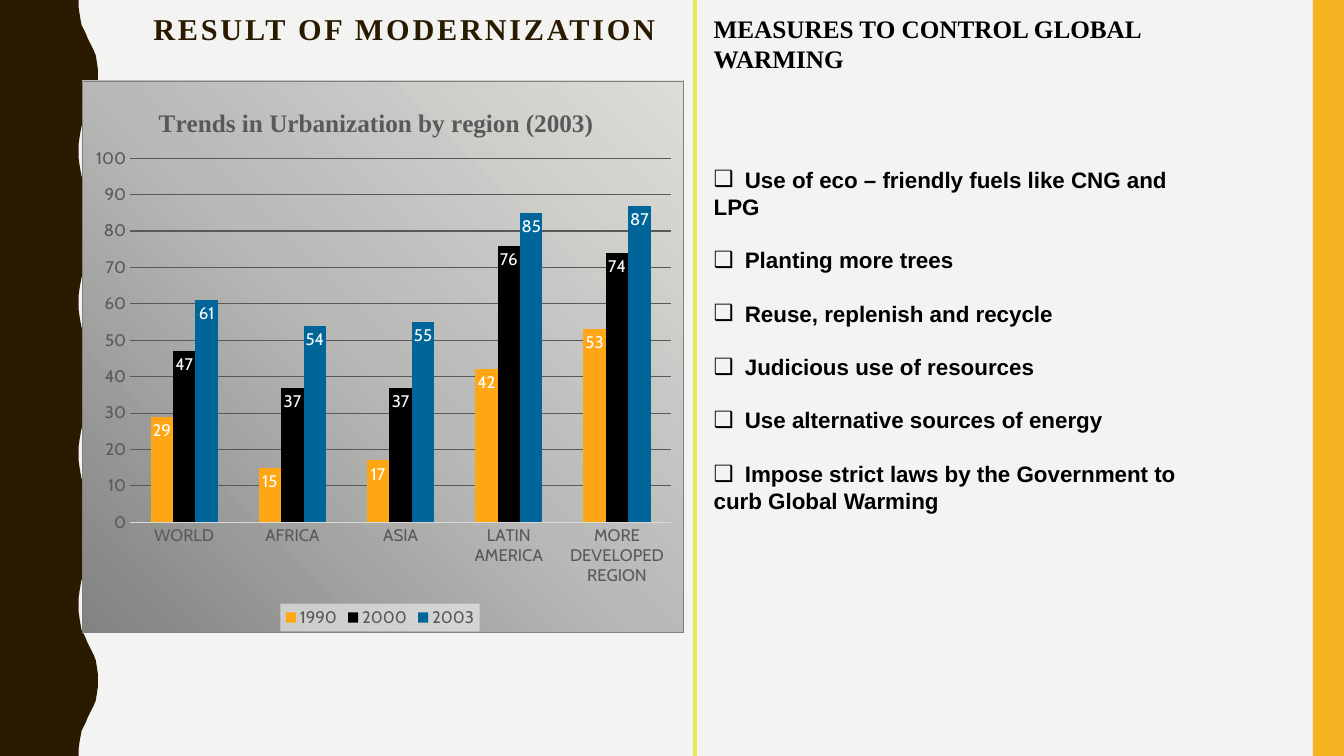
from lxml.etree import SubElement
from pptx import Presentation
from pptx.chart.data import CategoryChartData
from pptx.dml.color import RGBColor
from pptx.enum.chart import XL_CHART_TYPE, XL_LABEL_POSITION, XL_LEGEND_POSITION, XL_TICK_MARK
from pptx.enum.shapes import MSO_CONNECTOR, MSO_SHAPE
from pptx.enum.text import MSO_ANCHOR, PP_ALIGN
from pptx.oxml import parse_xml
from pptx.oxml.ns import nsdecls, qn
from pptx.util import Inches, Pt

PAPER = RGBColor(0xF3, 0xF3, 0xF2)
BROWN = RGBColor(0x2A, 0x1A, 0x00)
GOLD = RGBColor(0xF8, 0xB3, 0x23)
LIME = RGBColor(0xE8, 0xE8, 0x56)
BLACK = RGBColor(0x00, 0x00, 0x00)
WHITE = RGBColor(0xFF, 0xFF, 0xFF)
GREY = RGBColor(0x59, 0x59, 0x59)
PALE = RGBColor(0xD9, 0xD9, 0xD9)
AMBER = RGBColor(0xFF, 0xA6, 0x15)
BLUE = RGBColor(0x00, 0x66, 0x99)

SERIF = "Times New Roman"
NAMES = ["WORLD", "AFRICA", "ASIA", "LATIN AMERICA", "MORE DEVELOPED REGION"]
TRENDS = [
    ("1990", AMBER, (29, 15, 17, 42, 53)),
    ("2000", BLACK, (47, 37, 37, 76, 74)),
    ("2003", BLUE, (61, 54, 55, 85, 87)),
]
STEPS = [
    ["Use of eco – friendly fuels like CNG and", "LPG"],
    ["Planting more trees"],
    ["Reuse, replenish and recycle"],
    ["Judicious use of resources"],
    ["Use alternative sources of energy"],
    ["Impose strict laws by the Government to", "curb Global Warming"],
]
CURVE = [(0.78, 0), (0.78, 0.07), (0.79, 0.14), (0.8, 0.2), (0.81, 0.25),
         (0.83, 0.29), (0.85, 0.33), (0.87, 0.38), (0.89, 0.42), (0.91, 0.46),
         (0.93, 0.5), (0.95, 0.55), (0.96, 0.61), (0.97, 0.68), (0.97, 0.75)]
PANEL = f"""<c:spPr {nsdecls("c", "a")}><a:gradFill><a:gsLst>
<a:gs pos="0"><a:srgbClr val="828280"/></a:gs>
<a:gs pos="50000"><a:srgbClr val="B9B9B7"/></a:gs>
<a:gs pos="100000"><a:srgbClr val="DCDCD9"/></a:gs>
</a:gsLst><a:lin ang="18900000" scaled="0"/></a:gradFill>
<a:ln w="6350"><a:solidFill><a:srgbClr val="808080"/></a:solidFill></a:ln></c:spPr>"""
PLATE = f"""<c:spPr {nsdecls("c", "a")}><a:solidFill><a:srgbClr val="F2F2F2">
<a:alpha val="60000"/></a:srgbClr></a:solidFill></c:spPr>"""


def dress(item, **look):
    for key, val in look.items():
        if key == "color":
            item.color.rgb = val
        else:
            setattr(item, key, val)


def place(node, spot, **sizes):
    for old in node.findall(qn("c:layout")):
        node.remove(old)
    frame = parse_xml(f'<c:layout {nsdecls("c")}><c:manualLayout/></c:layout>')
    for key, val in sizes.items():
        SubElement(frame[0], qn(f"c:{key}")).set("val", str(val))
    node.insert(spot, frame)


class Page:
    """Holds the deck style and the slide being drawn."""

    head = dict(name=SERIF, size=Pt(18), bold=True, color=BLACK)
    body = dict(name="Arial", size=Pt(16), bold=True, color=BLACK)
    label = dict(name="Cabin", size=Pt(12), bold=False, color=GREY)

    def __init__(self, deck):
        self.slide = deck.slides.add_slide(deck.slide_layouts[5])
        self.shapes = self.slide.shapes
        fill = self.slide.background.fill
        fill.solid()
        fill.fore_color.rgb = PAPER

    def paint(self, shape, color):
        shape.shadow.inherit = False
        shape.fill.solid()
        shape.fill.fore_color.rgb = color
        shape.line.fill.background()

    def wave(self):
        cycle = CURVE + [(x, 1.5 - y) for x, y in CURVE[-2::-1]]
        edge = [(Inches(x), Inches(y + 1.5 * turn)) for turn in range(5) for x, y in cycle]
        pen = self.shapes.build_freeform(0, 0, scale=1.0)
        pen.add_line_segments(edge + [(0, Inches(7.5))], close=True)
        self.paint(pen.convert_to_shape(), BROWN)

    def bar(self, x, y, w, h, color):
        box = self.shapes.add_shape(MSO_SHAPE.RECTANGLE, Inches(x), Inches(y), Inches(w), Inches(h))
        self.paint(box, color)

    def rule(self, x, color):
        line = self.shapes.add_connector(
            MSO_CONNECTOR.STRAIGHT, Inches(x), 0, Inches(x), Inches(7.5))
        dress(line.line, color=color, width=Pt(3))
        SubElement(line._element.spPr, qn("a:effectLst"))

    def title(self, text, x, y, w, h):
        box = self.shapes.title
        dress(box, left=Inches(x), top=Inches(y), width=Inches(w), height=Inches(h))
        dress(box.text_frame, vertical_anchor=MSO_ANCHOR.TOP, word_wrap=True)
        para = box.text_frame.paragraphs[0]
        dress(para, alignment=PP_ALIGN.LEFT, line_spacing=0.9)
        run = para.add_run()
        run.text = text
        dress(run.font, **{**self.head, "size": Pt(21.6), "color": BROWN})
        run._r.get_or_add_rPr().set("spc", "200")

    def words(self, para, text, look, gap=0):
        para.space_before = Pt(gap)
        run = para.add_run()
        run.text = text
        dress(run.font, **look)

    def mark(self, para):
        props = para._p.get_or_add_pPr()
        props.set("marL", str(Inches(0.31)))
        props.set("indent", str(-Inches(0.31)))
        SubElement(props, qn("a:buFont")).set("typeface", "Arial")
        SubElement(props, qn("a:buChar")).set("char", "❑")

    def steps(self, heads, items, x, y, w, h):
        box = self.shapes.add_textbox(Inches(x), Inches(y), Inches(w), Inches(h))
        frame = box.text_frame
        frame.word_wrap = True
        self.words(frame.paragraphs[0], heads[0], self.head)
        self.words(frame.add_paragraph(), heads[1], self.head)
        for num, (first, *rest) in enumerate(items):
            para = frame.add_paragraph()
            self.words(para, first, self.body, 19 if num else 66)
            self.mark(para)
            for text in rest:
                self.words(frame.add_paragraph(), text, self.body)

    def chart(self, text, x, y, w, h):
        data = CategoryChartData()
        data.categories = NAMES
        for name, _, vals in TRENDS:
            data.add_series(name, vals)
        chart = self.shapes.add_chart(XL_CHART_TYPE.COLUMN_CLUSTERED, Inches(x), Inches(y),
                                      Inches(w), Inches(h), data).chart
        dress(chart.font, **self.label)
        chart.has_title = True
        self.words(chart.chart_title.text_frame.paragraphs[0], text, {**self.head, "color": GREY})
        chart.has_legend = True
        dress(chart.legend, position=XL_LEGEND_POSITION.BOTTOM, include_in_layout=False)
        dress(chart.legend.font, **self.label)
        self.axes(chart)
        self.series(chart.plots[0])
        root = chart._chartSpace.chart
        root.addnext(parse_xml(PANEL))
        key = chart.legend._element
        key.find(qn("c:overlay")).addnext(parse_xml(PLATE))
        place(key, 1, xMode="edge", yMode="edge", x=0.33, y=0.95)
        place(chart.chart_title._element, 1, xMode="edge", yMode="edge", x=0.12, y=0.04)
        place(root.plotArea, 0, layoutTarget="inner", xMode="edge", yMode="edge",
              x=0.08, y=0.14, w=0.9, h=0.66)

    def axes(self, chart):
        for axis in (chart.category_axis, chart.value_axis):
            dress(axis, major_tick_mark=XL_TICK_MARK.NONE, minor_tick_mark=XL_TICK_MARK.NONE)
            dress(axis.tick_labels.font, **self.label)
        dress(chart.category_axis.format.line, color=PALE, width=Pt(0.75))
        axis = chart.value_axis
        dress(axis, minimum_scale=0, maximum_scale=100, major_unit=10, has_major_gridlines=True)
        axis.format.line.fill.background()
        dress(axis.major_gridlines.format.line, color=GREY, width=Pt(0.75))

    def series(self, plot):
        dress(plot, gap_width=182, overlap=0, vary_by_categories=False)
        for item, (_, color, _) in zip(plot.series, TRENDS):
            item.format.fill.solid()
            item.format.fill.fore_color.rgb = color
            tags = item.data_labels
            dress(tags, show_value=True, position=XL_LABEL_POSITION.INSIDE_END)
            dress(tags.font, **{**self.label, "color": WHITE})


def main():
    deck = Presentation()
    dress(deck, slide_width=Inches(13.33), slide_height=Inches(7.5))
    page = Page(deck)
    page.wave()
    page.bar(13.02, 0, 0.31, 7.5, GOLD)
    page.title("RESULT OF MODERNIZATION", 1.42, 0.09, 5.65, 0.54)
    page.chart("Trends in Urbanization by region (2003)", 0.81, 0.8, 5.97, 5.48)
    page.rule(6.89, LIME)
    page.steps(["MEASURES TO CONTROL GLOBAL", "WARMING"], STEPS, 6.98, 0.08, 5.57, 5.42)
    deck.save("out.pptx")


if __name__ == "__main__":
    main()
